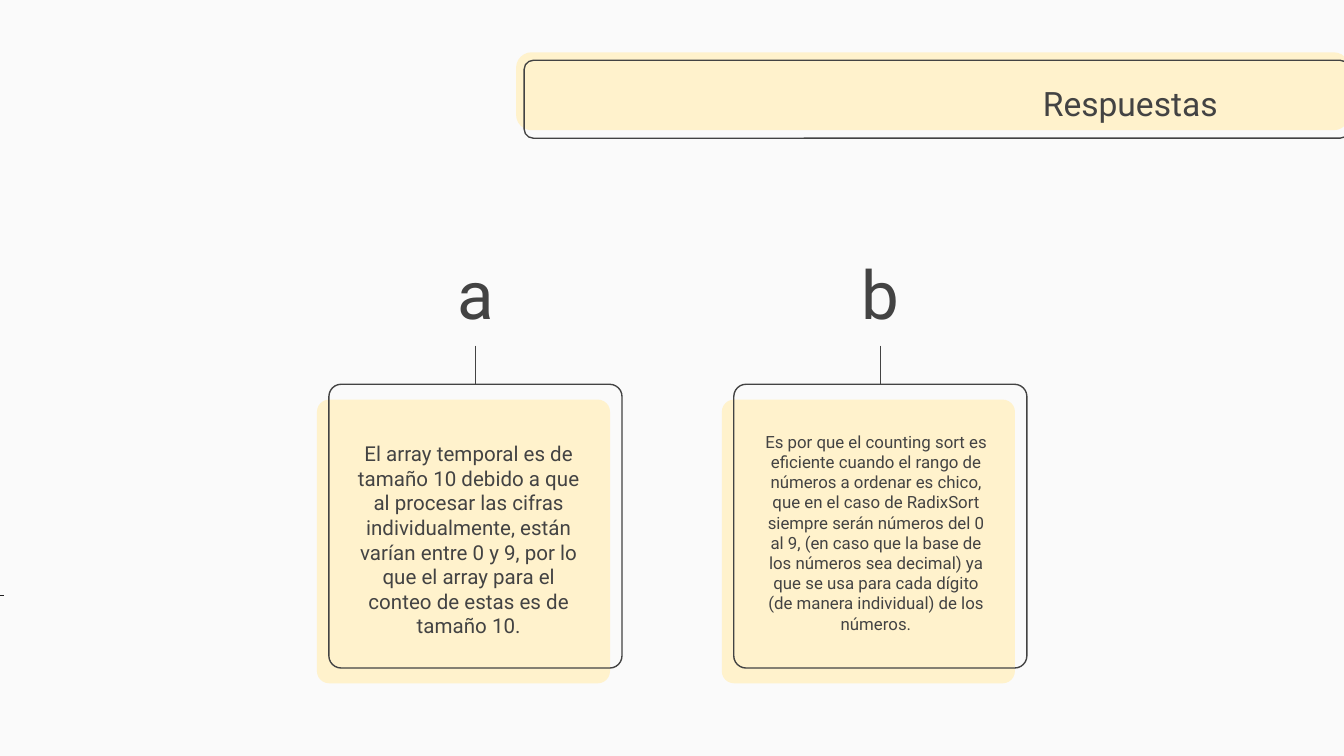
from lxml.etree import SubElement
from pptx import Presentation
from pptx.dml.color import RGBColor
from pptx.enum.shapes import MSO_CONNECTOR, MSO_SHAPE
from pptx.enum.text import MSO_ANCHOR, PP_ALIGN
from pptx.oxml.ns import qn
from pptx.util import Pt

COLORS = {"background": "FAFAFA", "cream": "FFF2CC", "ink": "434343", "tick": "1F1F1F"}
FONT = "Roboto"
INSET = 7.2


def color(name):
    return RGBColor.from_string(COLORS[name])


def add_panel(slide, left, top, width, height, radius, fill=None):
    shape = slide.shapes.add_shape(
        MSO_SHAPE.ROUNDED_RECTANGLE, Pt(left), Pt(top), Pt(width), Pt(height))
    shape.adjustments[0] = radius
    shape.shadow.inherit = False
    if fill:
        shape.fill.solid()
        shape.fill.fore_color.rgb = color(fill)
        shape.line.fill.background()
    else:
        shape.fill.background()
        shape.line.color.rgb = color("ink")
        shape.line.width = Pt(0.75)


def add_line(slide, x1, y1, x2, y2, name):
    connector = slide.shapes.add_connector(
        MSO_CONNECTOR.STRAIGHT, Pt(x1), Pt(y1), Pt(x2), Pt(y2))
    connector.line.color.rgb = color(name)
    connector.line.width = Pt(0.75)
    SubElement(connector.element.spPr, qn("a:effectLst"))


def add_text(slide, left, top, width, height, text, size,
             align=PP_ALIGN.CENTER, anchor=MSO_ANCHOR.TOP, right_inset=INSET):
    box = slide.shapes.add_textbox(Pt(left), Pt(top), Pt(width), Pt(height))
    frame = box.text_frame
    frame.word_wrap = True
    frame.vertical_anchor = anchor
    frame.margin_left = frame.margin_top = frame.margin_bottom = Pt(INSET)
    frame.margin_right = Pt(right_inset)
    paragraph = frame.paragraphs[0]
    paragraph.text = text
    paragraph.alignment = align
    paragraph.font.size = Pt(size)
    paragraph.font.name = FONT
    paragraph.font.color.rgb = color("ink")


def add_header(slide, left, top, title):
    add_panel(slide, left, top, 446.4, 41.76, 0.199, "cream")
    add_panel(slide, left + 4.3, top + 4.3, 442.1, 41.76, 0.119)
    add_text(slide, left + 131.7, top + 8, 251.3, 38.2, title, 18,
             PP_ALIGN.RIGHT, MSO_ANCHOR.MIDDLE)


def add_answer(slide, left, top, letter, text, size, text_left, text_top):
    width, height = 157, 152
    center = left + width / 2
    add_panel(slide, left - 6.4, top + 8.2, width, height, 0.043, "cream")
    add_panel(slide, left, top, width, height, 0.043)
    add_line(slide, center, top - 20.7, center, top, "ink")
    add_text(slide, center - 56.2, top - 82.8, 112.4, 62.6, letter, 36,
             anchor=MSO_ANCHOR.BOTTOM)
    add_text(slide, left + text_left, top + text_top, 144, 131.8, text, size,
             right_inset=13.2)


presentation = Presentation()
presentation.slide_width = Pt(720)
presentation.slide_height = Pt(405)
slide = presentation.slides.add_slide(presentation.slide_layouts[6])
slide.background.fill.solid()
slide.background.fill.fore_color.rgb = color("background")

answers = [
    ("a", "El array temporal es de tamaño 10 debido a que al procesar las cifras "
     "individualmente, están varían entre 0 y 9, por lo que el array para el "
     "conteo de estas es de tamaño 10.", 11, 6, 23.1),
    ("b", "Es por que el counting sort es eficiente cuando el rango de números a "
     "ordenar es chico, que en el caso de RadixSort siempre serán números del 0 "
     "al 9, (en caso que la base de los números sea decimal) ya que se usa para "
     "cada dígito (de manera individual) de los números.", 9, 7.2, 18),
]

add_header(slide, 276.5, 28, "Respuestas")
add_line(slide, 0, 319, 2.2, 319, "tick")
for index, answer in enumerate(answers):
    add_answer(slide, 176.2 + 216.9 * index, 205.9, *answer)

presentation.save("out.pptx")
